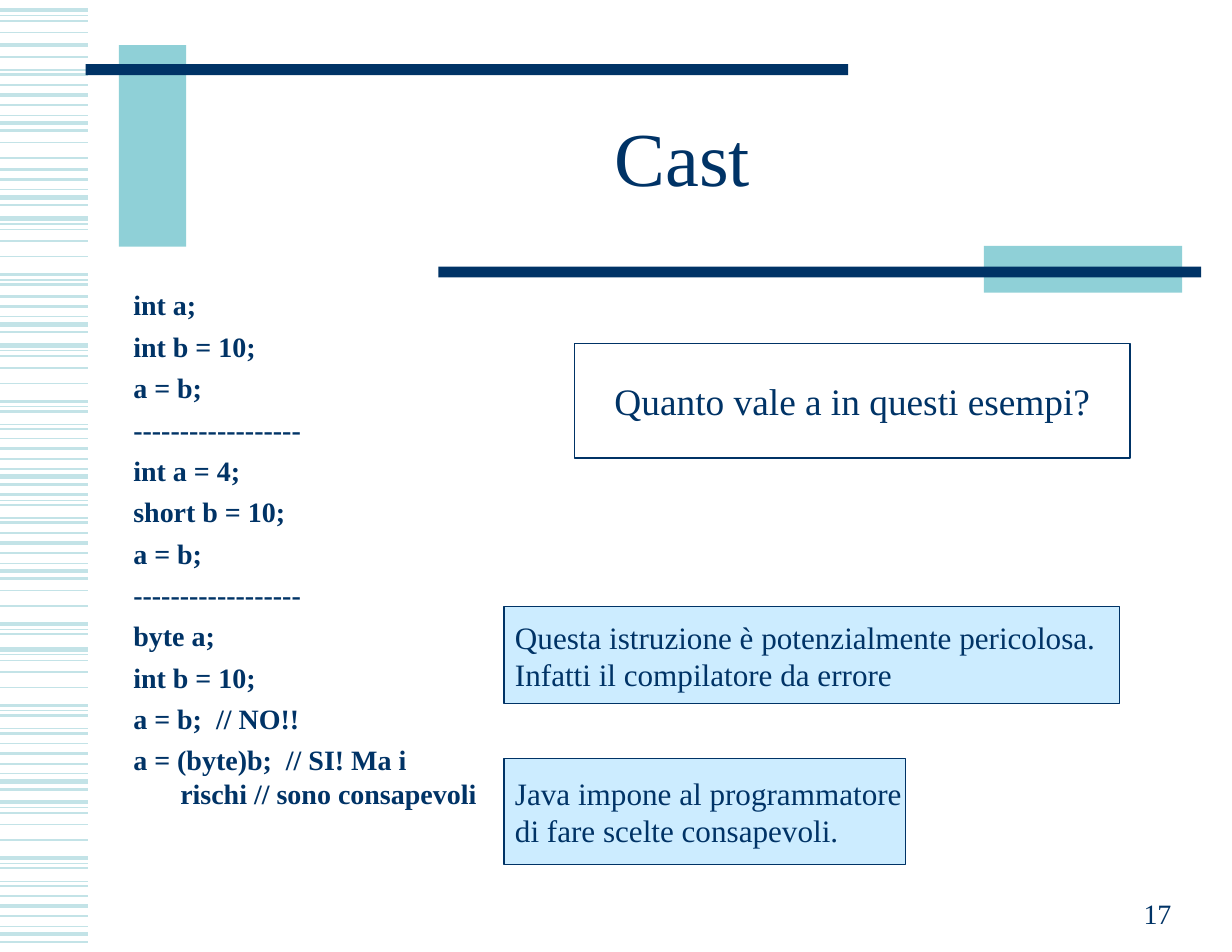
import pptx
import pptx.dml.color
import pptx.enum.shapes
import pptx.enum.text
import pptx.util
from lxml import etree

Pt = pptx.util.Pt
RGB = pptx.dml.color.RGBColor
ALIGN = pptx.enum.text.PP_ALIGN
ANCHOR = pptx.enum.text.MSO_ANCHOR

NAVY = RGB(0x00, 0x33, 0x66)
TEAL = RGB(0x8F, 0xD0, 0xD7)
PALE = RGB(0xC3, 0xE3, 0xE7)
SKY = RGB(0xCC, 0xEC, 0xFF)
WHITE = RGB(0xFF, 0xFF, 0xFF)
FONT = "Times New Roman"
NS = "{http://schemas.openxmlformats.org/drawingml/2006/main}"

# Stripe motifs: (offset, weight) in points
LONG = [(0, 3), (3.5, 0.75), (7, 1), (14.5, 1), (24.5, 1), (36, 2.25),
        (39.5, 0.75), (42.5, 1.5), (51, 0.75), (54, 1.5)]
SHORT = [(0, 1), (6.5, 2.25), (13, 1.5), (19.5, 0.75), (24.5, 3), (29.5, 1.5)]
# Where each motif, or a part of it, begins
BANDS = [
    (6.5, LONG[:4]), (29, LONG[:1]), (-6, LONG[7:]), (54.5, SHORT),
    (77, LONG[3:5]), (102.5, SHORT[1:]), (140.5, LONG[:8]),
    (184, SHORT[1:]), (222, LONG), (282, SHORT), (282, LONG[5:]),
    (342.5, SHORT), (365, LONG[3:8]), (417.5, LONG), (478, SHORT),
    (515.5, LONG), (576, SHORT),
]
CODE = [
    "int a;", "int b = 10;", "a = b;", "------------------",
    "int a = 4;", "short b = 10;", "a = b;", "------------------",
    "byte a;", "int b = 10;", "a = b;  // NO!!",
    "a = (byte)b;  // SI! Ma i rischi // sono consapevoli",
]


def place(shape, box):
    shape.left, shape.top, shape.width, shape.height = map(Pt, box)


def frame(shape, anchor, wrap=True, inset=(7.2, 3.6)):
    """Set up the text frame of a shape and return it."""
    text = shape.text_frame
    text.auto_size = pptx.enum.text.MSO_AUTO_SIZE.NONE
    text.word_wrap = wrap
    text.vertical_anchor = anchor
    text.margin_left = text.margin_right = Pt(inset[0])
    text.margin_top = text.margin_bottom = Pt(inset[1])
    return text


def write(text, lines, size, align=ALIGN.LEFT, bold=False):
    """Add one paragraph of one run for each line."""
    for i, line in enumerate(lines):
        para = text.add_paragraph() if i else text.paragraphs[0]
        para.alignment = align
        run = para.add_run()
        run.text = line
        font = run.font
        font.name, font.size, font.bold = FONT, Pt(size), bold
        font.color.rgb = NAVY


def block(slide, box, fill, line=None):
    shape = slide.shapes.add_shape(
        pptx.enum.shapes.MSO_SHAPE.RECTANGLE, *map(Pt, box))
    shape.shadow.inherit = False
    shape.fill.solid()
    shape.fill.fore_color.rgb = fill
    if line is None:
        shape.line.fill.background()
    else:
        shape.line.color.rgb = line
        shape.line.width = Pt(0.75)
    return shape


def stripes(slide, left, top, width):
    for start, motif in BANDS:
        for step, weight in motif:
            y = Pt(top + start + step)
            line = slide.shapes.add_connector(
                pptx.enum.shapes.MSO_CONNECTOR.STRAIGHT,
                Pt(left), y, Pt(left + width), y)
            line.line.color.rgb = PALE
            line.line.width = Pt(weight)
            etree.SubElement(line._element.spPr, NS + "effectLst")


def bars(slide, left, top):
    """Place the crossed bars that frame the title."""
    for x, y, wide, high, fill in [
        (21.5, 0, 43.2, 129.6, TEAL), (0, 12.3, 490.3, 7, NAVY),
        (577.5, 129, 127.5, 30.2, TEAL), (226.8, 142.4, 490.3, 7, NAVY),
    ]:
        block(slide, (left + x, top + y, wide, high), fill)


def title(slide, box):
    shape = slide.shapes.title
    place(shape, box)
    text = frame(shape, ANCHOR.MIDDLE, inset=(7.9, 4.3))
    write(text, ["Cast"], 49, ALIGN.CENTER)
    text.paragraphs[0].line_spacing = 0.85


def listing(slide, box):
    shape = slide.placeholders[1]
    place(shape, box)
    text = frame(shape, ANCHOR.TOP)
    write(text, CODE, 18, bold=True)
    for i, para in enumerate(text.paragraphs):
        props = para._p.get_or_add_pPr()
        props.set("marL", str(Pt(30.2)))
        props.set("indent", str(-Pt(30.2)))
        etree.SubElement(props, NS + "buNone")
        para.space_before = Pt(5 if i else 0)


def note(slide, box, lines, size, fill, align=ALIGN.LEFT):
    shape = block(slide, box, fill, NAVY)
    write(frame(shape, ANCHOR.MIDDLE, wrap=False), lines, size, align)


def number(slide, box):
    shape = slide.shapes.add_textbox(*map(Pt, box))
    text = frame(shape, ANCHOR.BOTTOM, inset=(7.9, 4.3))
    write(text, ["17"], 18, ALIGN.RIGHT)


def main():
    deck = pptx.Presentation()
    deck.slide_width, deck.slide_height = Pt(792), Pt(612)
    slide = deck.slides.add_slide(deck.slide_layouts[1])
    stripes(slide, 0, 0, 56.5)
    bars(slide, 55, 29)
    number(slide, (571, 561, 190, 41))
    title(slide, (119, 54, 639.5, 102))
    listing(slide, (78.5, 181.5, 244, 366.5))
    note(slide, (369.5, 221, 357, 73.5),
         ["Quanto vale a in questi esempi?"], 24, WHITE, ALIGN.CENTER)
    note(slide, (324, 390, 396, 62.5),
         ["Questa istruzione è potenzialmente pericolosa.",
          "Infatti il compilatore da errore"], 20, SKY)
    note(slide, (324, 487.5, 258, 68),
         ["Java impone al programmatore",
          "di fare scelte consapevoli."], 20, SKY)
    deck.save("out.pptx")


if __name__ == "__main__":
    main()
